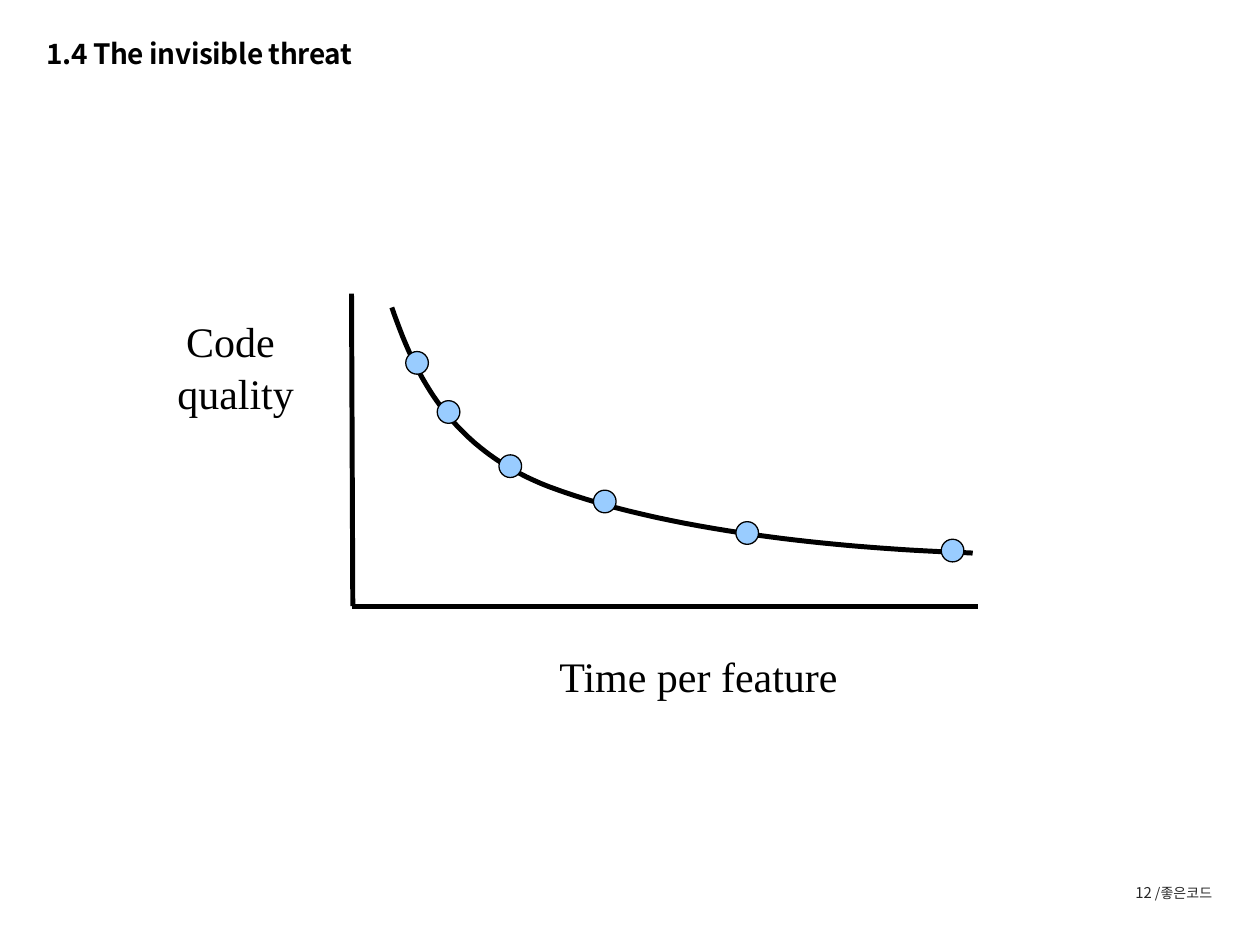
"""Build the slide on the invisible threat: code quality against time per feature."""
from lxml import etree
from pptx import Presentation, util as u
from pptx.dml.color import RGBColor
from pptx.enum import shapes, text
from pptx.oxml.ns import qn

SANS, SERIF = "Noto Sans CJK KR", "Times New Roman"
BLACK, GRAY, BLUE = "000000", "262626", "99CCFF"
AXES = [(2.79, 2.33, 2.8, 4.81), (2.79, 4.81, 7.76, 4.81)]
CURVE = [
    [(3.11, 2.44), (3.29, 2.96), (3.56, 3.55), (4.35, 3.86)],
    [(4.35, 3.86), (5.68, 4.36), (7.69, 4.38), (7.72, 4.39)],
]
DOTS = [(3.22, 2.79), (3.47, 3.18), (3.96, 3.61), (4.71, 3.89), (5.84, 4.14), (7.47, 4.28)]
SIZE, STEPS = 0.18, 40
LABEL = dict(font=SERIF, size=24, pad=(0.09, 0.04), lead=1.05)


def rgb(code):
    return RGBColor.from_string(code)


def write(slide, lines, box, font=SANS, size=16, color=BLACK, bold=False,
          align="LEFT", anchor="TOP", pad=(0.1, 0.05), lead=None, track=None):
    frame = slide.shapes.add_textbox(*map(u.Inches, box)).text_frame
    frame.word_wrap = True
    frame.vertical_anchor = getattr(text.MSO_ANCHOR, anchor)
    frame.margin_left = frame.margin_right = u.Inches(pad[0])
    frame.margin_top = frame.margin_bottom = u.Inches(pad[1])
    for i, line in enumerate(lines):
        para = frame.add_paragraph() if i else frame.paragraphs[0]
        para.alignment = getattr(text.PP_ALIGN, align)
        if lead:
            para.line_spacing = lead
        for words, points in line if isinstance(line, list) else [(line, size)]:
            run = para.add_run()
            run.text = words
            run.font.name, run.font.size, run.font.bold = font, u.Pt(points), bold
            run.font.color.rgb = rgb(color)
            props = run.font._element
            etree.SubElement(props, qn("a:ea")).set("typeface", font)
            if track:
                props.set("spc", str(track))


def stroke(shape, width):
    shape.line.color.rgb = rgb(BLACK)
    shape.line.width = u.Pt(width)


def bend(points, t):
    weights = ((1 - t) ** 3, 3 * t * (1 - t) ** 2, 3 * t * t * (1 - t), t ** 3)
    return tuple(u.Inches(sum(w * p[k] for w, p in zip(weights, points))) for k in (0, 1))


def plot(slide):
    for ends in AXES:
        axis = slide.shapes.add_connector(shapes.MSO_CONNECTOR.STRAIGHT, *map(u.Inches, ends))
        stroke(axis, 2.83)
        etree.SubElement(axis._element.spPr, qn("a:effectLst"))
    trail = [bend(part, i / STEPS) for part in CURVE for i in range(STEPS + 1)]
    pen = slide.shapes.build_freeform(*trail[0])
    pen.add_line_segments(trail[1:], close=False)
    curve = pen.convert_to_shape()
    curve.fill.background()
    curve.shadow.inherit = False
    stroke(curve, 2.83)
    for x, y in DOTS:
        dot = slide.shapes.add_shape(shapes.MSO_SHAPE.OVAL, *map(u.Inches, (x, y, SIZE, SIZE)))
        dot.fill.solid()
        dot.fill.fore_color.rgb = rgb(BLUE)
        dot.shadow.inherit = False
        stroke(dot, 0.75)


def main():
    deck = Presentation()
    deck.slide_width, deck.slide_height = u.Inches(10), u.Inches(7.5)
    slide = deck.slides.add_slide(deck.slide_layouts[6])
    write(slide, [[("12", 8.5), (" /좋은코드", 8)]], (7.61, 6.95, 2.11, 0.27),
          color=GRAY, align="RIGHT", anchor="MIDDLE")
    plot(slide)
    write(slide, ["Code ", "quality"], (1.16, 2.44, 1.42, 0.81), align="CENTER", **LABEL)
    write(slide, ["Time per feature"], (4.35, 5.1, 2.93, 0.45), **LABEL)
    write(slide, ["1.4 The invisible threat"], (0.27, 0.19, 6.99, 0.42),
          bold=True, lead=u.Pt(23), track=-20)
    deck.save("out.pptx")


if __name__ == "__main__":
    main()
